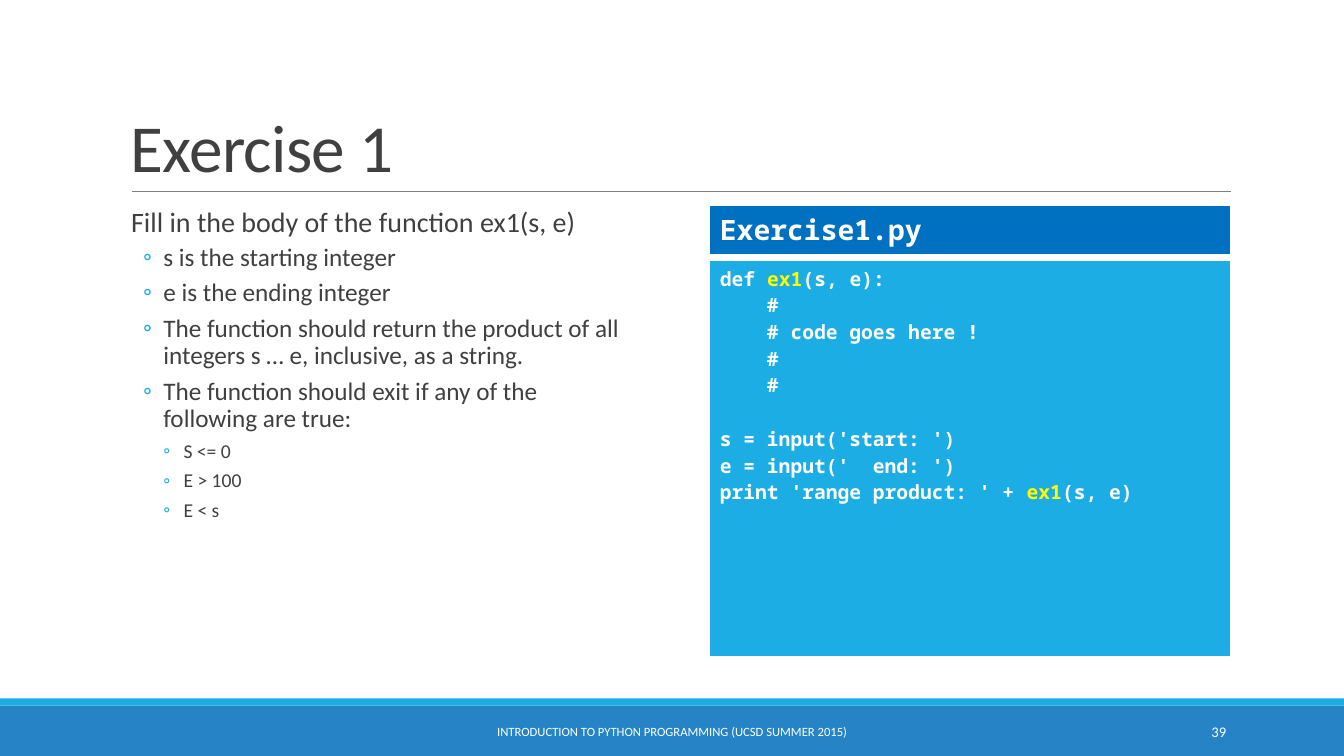
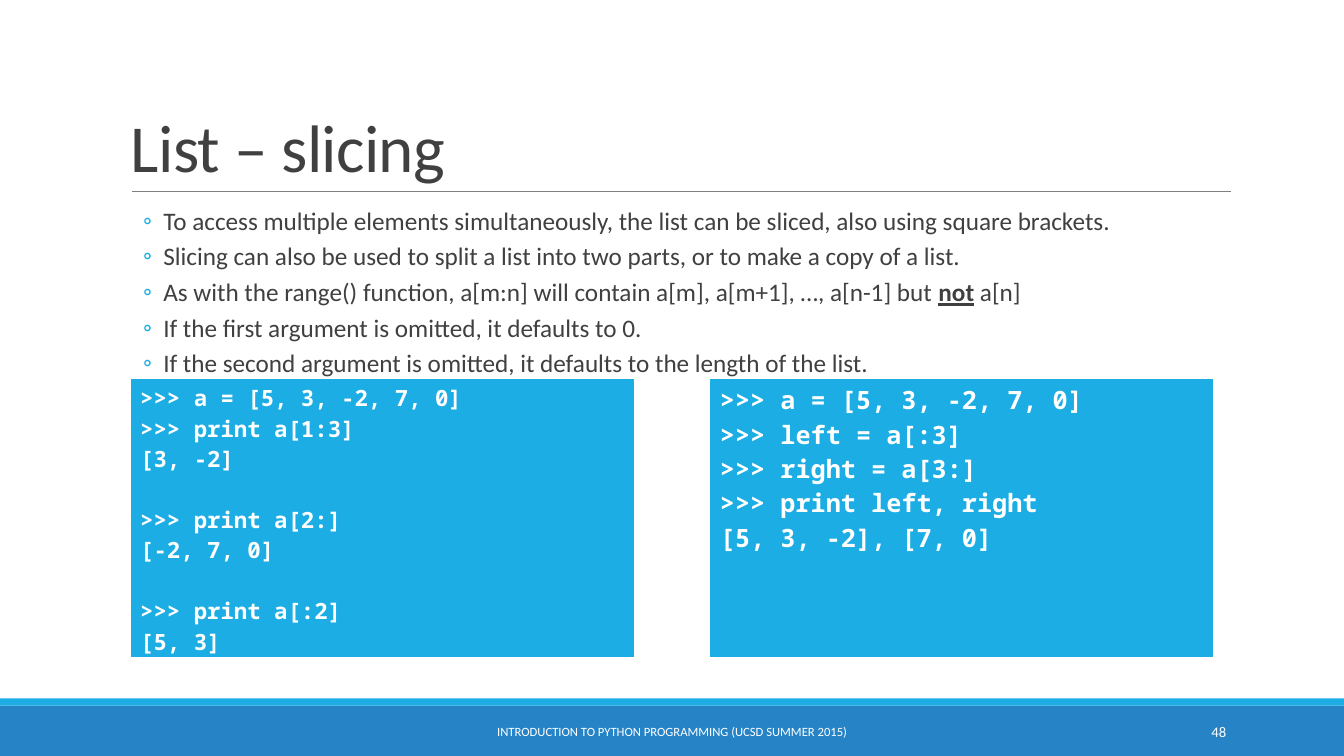
from lxml import etree
from pptx import Presentation
from pptx.dml.color import RGBColor
from pptx.enum.shapes import MSO_CONNECTOR, MSO_SHAPE
from pptx.enum.text import MSO_ANCHOR as ANCHOR, PP_ALIGN as ALIGN
from pptx.oxml.ns import qn
from pptx.util import Inches, Pt

COLORS = {k: RGBColor.from_string(v) for k, v in {
    "footer": "2683C6", "accent": "1CADE4", "header": "0070C0", "rule": "808080",
    "text": "404040", "white": "FFFFFF", "highlight": "FFFF00"}.items()}
SANS, MONO = "Calibri", "Noto Sans Mono"
FOOTER = "INTRODUCTION TO PYTHON PROGRAMMING (UCSD SUMMER 2015)"
BANDS = [(7, 0.5, "footer"), (6.93, 0.07, "accent")]
BORDERS = [("lnL", 1), ("lnR", 1), ("lnT", 1), ("lnB", 3)]
# Outline level: text indent, hanging indent, size, space before, space after, bullet
LEVELS = [(0.1, 0.1, 20, 12, 2, None),
          (0.42, 0.2, 18, 2, 4, "◦"),
          (0.62, 0.2, 14, 2, 4, "◦")]

EX1_CODE = """def |ex1|(s, e):
    #
    # code goes here !
    #
    #

s = input('start: ')
e = input('  end: ')
print 'range product: ' + |ex1|(s, e)"""

SLICE_CODE = """>>> a = [5, 3, -2, 7, 0]
>>> print a[1:3]
[3, -2]

>>> print a[2:]
[-2, 7, 0]

>>> print a[:2]
[5, 3]"""

SPLIT_CODE = """>>> a = [5, 3, -2, 7, 0]
>>> left = a[:3]
>>> right = a[3:]
>>> print left, right
[5, 3, -2], [7, 0]"""

# Bullets: (level, text). Code cells: (left, top, width, height, fill, size, code).
SLIDES = [
    {"title": "Exercise 1", "number": "39", "body_width": 5.09,
     "bullets": [
         (0, "Fill in the body of the function ex1(s, e)"),
         (1, "s is the starting integer"),
         (1, "e is the ending integer"),
         (1, "The function should return the product of all integers s … e, "
             "inclusive, as a string."),
         (1, "The function should exit if any of the following are true:"),
         (2, "S <= 0"),
         (2, "E > 100"),
         (2, "E < s")],
     "code": [(7.04, 2.58, 5.17, 3.95, "accent", 14, EX1_CODE),
              (7.04, 2.04, 5.17, 0.5, "header", 20, "Exercise1.py")]},
    {"title": "List – slicing", "number": "48", "body_width": 11,
     "bullets": [
         (1, "To access multiple elements simultaneously, the list can be sliced, "
             "also using square brackets."),
         (1, "Slicing can also be used to split a list into two parts, "
             "or to make a copy of a list."),
         (1, "As with the range() function, a[m:n] will contain a[m], a[m+1], …, "
             "a[n-1] but |not| a[n]"),
         (1, "If the first argument is omitted, it defaults to 0."),
         (1, "If the second argument is omitted, it defaults to the length of the list.")],
     "code": [(1.29, 3.75, 5, 2.79, "accent", 16, SLICE_CODE),
              (7.04, 3.75, 5, 2.79, "accent", 18, SPLIT_CODE)]},
]


def add_runs(p, text, font, size, color):
    """Add text split at "|"; return all runs and the marked ones."""
    runs = []
    for part in text.split("|"):
        r = p.add_run()
        r.text = part
        r.font.name, r.font.size = font, Pt(size)
        r.font.color.rgb = COLORS[color]
        runs.append(r)
    return runs, runs[1::2]


def add_text_frame(slide, left, top, width, height, anchor):
    tf = slide.shapes.add_textbox(
        Inches(left), Inches(top), Inches(width), Inches(height)).text_frame
    tf.word_wrap = True
    tf.vertical_anchor = anchor
    return tf


prs = Presentation()
prs.slide_width, prs.slide_height = Inches(13.33), Inches(7.5)

for content in SLIDES:
    slide = prs.slides.add_slide(prs.slide_layouts[6])

    # Bands and title rule
    for top, height, color in BANDS:
        sp = slide.shapes.add_shape(
            MSO_SHAPE.RECTANGLE, 0, Inches(top), prs.slide_width, Inches(height))
        sp.shadow.inherit = False
        sp.fill.solid()
        sp.fill.fore_color.rgb = COLORS[color]
        sp.line.fill.background()
    rule = slide.shapes.add_connector(
        MSO_CONNECTOR.STRAIGHT, Inches(1.31), Inches(1.9), Inches(12.21), Inches(1.9))
    rule.line.color.rgb = COLORS["rule"]
    rule.line.width = Pt(0.5)
    etree.SubElement(rule._element.spPr, qn("a:effectLst"))

    # Title
    p = add_text_frame(slide, 1.2, 0.31, 11, 1.59, ANCHOR.BOTTOM).paragraphs[0]
    p.line_spacing = 0.85
    runs, _ = add_runs(p, content["title"], SANS, 48, "text")
    runs[0].font._element.set("spc", "-50")

    # Bullets
    tf = add_text_frame(slide, 1.2, 2.02, content["body_width"], 4.4, ANCHOR.TOP)
    tf.margin_left = tf.margin_right = 0
    for i, (level, text) in enumerate(content["bullets"]):
        indent, hanging, size, before, after, bullet = LEVELS[level]
        p = tf.add_paragraph() if i else tf.paragraphs[0]
        p.level = level
        p.line_spacing = 0.9
        p.space_before, p.space_after = Pt(before if i else 0), Pt(after)
        pPr = p._p.get_or_add_pPr()
        pPr.set("marL", str(Inches(indent)))
        pPr.set("indent", str(-Inches(hanging if bullet else 0)))
        if bullet:
            bu_color = etree.SubElement(pPr, qn("a:buClr"))
            etree.SubElement(bu_color, qn("a:srgbClr"), val=str(COLORS["accent"]))
            etree.SubElement(pPr, qn("a:buFont"), typeface=SANS)
            etree.SubElement(pPr, qn("a:buChar"), char=bullet)
        else:
            etree.SubElement(pPr, qn("a:buNone"))
        _, marked = add_runs(p, text, SANS, size, "text")
        for r in marked:
            r.font.bold = r.font.underline = True

    # Code cells
    for left, top, width, height, fill, size, code in content["code"]:
        table = slide.shapes.add_table(
            1, 1, Inches(left), Inches(top), Inches(width), Inches(height)).table
        table.first_row = table.horz_banding = False
        cell = table.cell(0, 0)
        tcPr = cell._tc.get_or_add_tcPr()
        for side, weight in BORDERS:
            ln = etree.SubElement(tcPr, qn(f"a:{side}"), w=str(Pt(weight)))
            line_fill = etree.SubElement(ln, qn("a:solidFill"))
            etree.SubElement(line_fill, qn("a:srgbClr"), val=str(COLORS["white"]))
        cell.fill.solid()
        cell.fill.fore_color.rgb = COLORS[fill]
        tf = cell.text_frame
        for i, line in enumerate(code.split("\n")):
            p = tf.add_paragraph() if i else tf.paragraphs[0]
            if not line:
                end = etree.SubElement(p._p, qn("a:endParaRPr"), sz=str(size * 100))
                etree.SubElement(end, qn("a:latin"), typeface=MONO)
                continue
            runs, marked = add_runs(p, line, MONO, size, "white")
            for r in runs:
                r.font.bold = True
            for r in marked:
                r.font.color.rgb = COLORS["highlight"]

    # Footer text and slide number
    for left, width, text, size, align in [
            (4.03, 5.27, FOOTER, 9, ALIGN.CENTER),
            (10.83, 1.43, content["number"], 10.5, ALIGN.RIGHT)]:
        p = add_text_frame(slide, left, 7.06, width, 0.4, ANCHOR.MIDDLE).paragraphs[0]
        p.alignment = align
        add_runs(p, text, SANS, size, "white")

prs.save("out.pptx")
